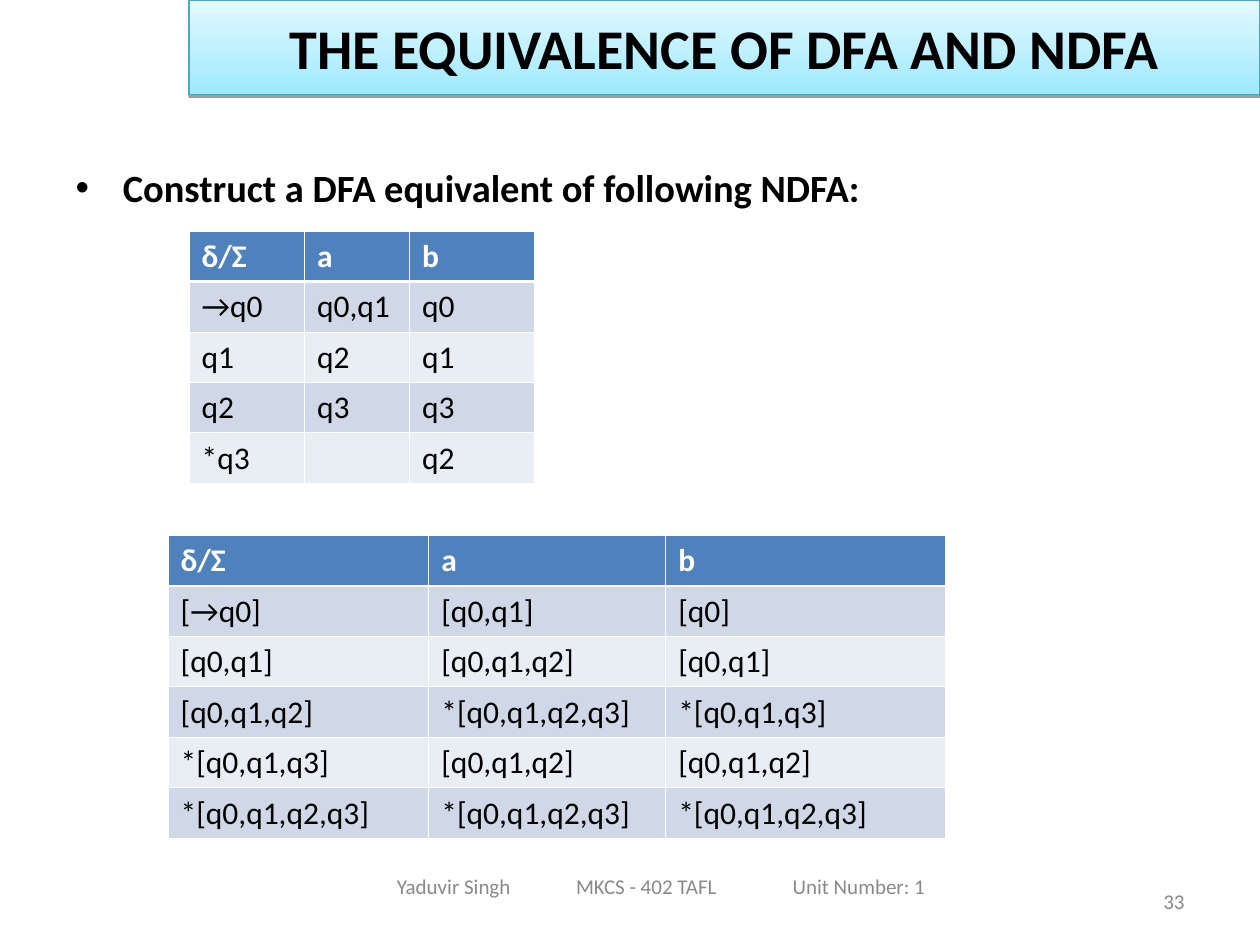
from lxml import etree
from pptx import Presentation
from pptx.dml.color import RGBColor
from pptx.enum.text import MSO_ANCHOR, PP_ALIGN
from pptx.oxml import parse_xml
from pptx.oxml.ns import qn
from pptx.util import Pt

LEFT, CENTER, RIGHT = PP_ALIGN.LEFT, PP_ALIGN.CENTER, PP_ALIGN.RIGHT
TOP, MIDDLE = MSO_ANCHOR.TOP, MSO_ANCHOR.MIDDLE
NS = 'xmlns:a="http://schemas.openxmlformats.org/drawingml/2006/main"'

# Content
TITLE = "THE EQUIVALENCE OF DFA AND NDFA"
TASK = "Construct a DFA equivalent of following NDFA:"
FOOT = "Yaduvir Singh\tMKCS - 402 TAFL\tUnit Number: 1"
PAGE = "33"
HEAD = ["δ/Σ", "a", "b"]
TABLES = [
    {"at": (108, 132), "cols": (66, 60, 71.3), "rows": [
        HEAD,
        ["→q0", "q0,q1", "q0"],
        ["q1", "q2", "q1"],
        ["q2", "q3", "q3"],
        ["*q3", "", "q2"],
    ]},
    {"at": (96, 306), "cols": (149, 135.4, 159.8), "rows": [
        HEAD,
        ["[→q0]", "[q0,q1]", "[q0]"],
        ["[q0,q1]", "[q0,q1,q2]", "[q0,q1]"],
        ["[q0,q1,q2]", "*[q0,q1,q2,q3]", "*[q0,q1,q3]"],
        ["*[q0,q1,q3]", "[q0,q1,q2]", "[q0,q1,q2]"],
        ["*[q0,q1,q2,q3]", "*[q0,q1,q2,q3]", "*[q0,q1,q2,q3]"],
    ]},
]

# Look
THEME = {
    "font": "Calibri", "ink": "000000", "pale": "FFFFFF", "grey": "898989",
    "head": "4F81BD", "bands": ("E9EDF4", "D0D8E8"),
    "grad": ("9EEAFF", "E4F9FF"), "edge": "46AAC5",
    "title": 32, "body": 22, "cell": 18, "foot": 12,
    "thin": 0.45, "thick": 1.47,
}
ROW = 28.8


def rgb(key):
    return RGBColor.from_string(THEME.get(key, key))


def place(shape, left, top, width, height):
    shape.left, shape.top = Pt(left), Pt(top)
    shape.width, shape.height = Pt(width), Pt(height)


def write(frame, text, size, color, bold=False, align=LEFT, anchor=TOP):
    frame.text = text
    frame.word_wrap = True
    frame.vertical_anchor = anchor
    para = frame.paragraphs[0]
    para.alignment = align
    para.space_before = Pt(0)
    for run in para.runs:
        font = run.font
        font.name, font.size, font.bold = THEME["font"], Pt(THEME[size]), bold
        font.color.rgb = rgb(color)
    return para


def add_note(slide, box, text, align):
    note = slide.shapes.add_textbox(*map(Pt, box))
    para = write(note.text_frame, text, "foot", "grey", False, align, MIDDLE)
    return note.text_frame, para


def add_edges(cell, row):
    """Rule the cell in white, heavier under the header."""
    heavy = {"lnT": row == 1, "lnB": row == 0}
    for i, side in enumerate(("lnL", "lnR", "lnT", "lnB")):
        width = THEME["thick" if heavy.get(side) else "thin"]
        line = parse_xml(
            f'<a:{side} {NS} w="{int(Pt(width))}"><a:solidFill>'
            f'<a:srgbClr val="{THEME["pale"]}"/></a:solidFill></a:{side}>')
        cell._tc.get_or_add_tcPr().insert(i, line)


def add_grid(slide, at, cols, rows):
    grid = slide.shapes.add_table(
        len(rows), len(cols), Pt(at[0]), Pt(at[1]),
        Pt(sum(cols)), Pt(ROW * len(rows))).table
    for col, width in zip(grid.columns, cols):
        col.width = Pt(width)
    for r, row in enumerate(rows):
        grid.rows[r].height = Pt(ROW)
        for c, text in enumerate(row):
            cell = grid.cell(r, c)
            top = r == 0
            cell.text = text
            write(cell.text_frame, text, "cell", "pale" if top else "ink", top)
            cell.fill.solid()
            cell.fill.fore_color.rgb = rgb("head" if top else THEME["bands"][r % 2])
            add_edges(cell, r)


def add_title(slide):
    title = slide.shapes.title
    place(title, 108, 0, 612, 54)
    write(title.text_frame, TITLE, "title", "ink", True, CENTER, MIDDLE)
    title.fill.gradient()
    title.fill.gradient_angle = 90
    for stop, color in zip(title.fill.gradient_stops, THEME["grad"]):
        stop.color.rgb = rgb(color)
    title.line.color.rgb = rgb("edge")
    title.line.width = Pt(0.75)
    title._element.spPr.append(parse_xml(
        f'<a:effectLst {NS}><a:outerShdw blurRad="0" dist="{int(Pt(1.6))}" '
        'dir="5400000" rotWithShape="0"><a:srgbClr val="000000">'
        '<a:alpha val="38000"/></a:srgbClr></a:outerShdw></a:effectLst>'))


def add_task(slide):
    body = slide.placeholders[1]
    place(body, 36, 90, 648, 392.4)
    para = write(body.text_frame, TASK, "body", "ink", True)
    props = para._p.get_or_add_pPr()
    props.set("marL", str(int(Pt(27))))
    props.set("indent", str(int(Pt(-27))))
    etree.SubElement(props, qn("a:buFont")).set("typeface", "Arial")
    etree.SubElement(props, qn("a:buChar")).set("char", "•")


def add_foot(slide):
    frame, para = add_note(slide, (180, 491.8, 396, 28.8), FOOT, LEFT)
    frame.margin_left = Pt(46.8)
    tabs = etree.SubElement(para._p.get_or_add_pPr(), qn("a:tabLst"))
    for stop in (102.4, 226.2):
        tab = etree.SubElement(tabs, qn("a:tab"))
        tab.set("pos", str(int(Pt(stop))))
        tab.set("algn", "l")
    add_note(slide, (516, 500.4, 168, 28.8), PAGE, RIGHT)


def main():
    deck = Presentation()
    deck.slide_width, deck.slide_height = Pt(720), Pt(540)
    slide = deck.slides.add_slide(deck.slide_layouts[1])
    add_title(slide)
    add_task(slide)
    add_foot(slide)
    for table in TABLES:
        add_grid(slide, **table)
    deck.save("out.pptx")


if __name__ == "__main__":
    main()
